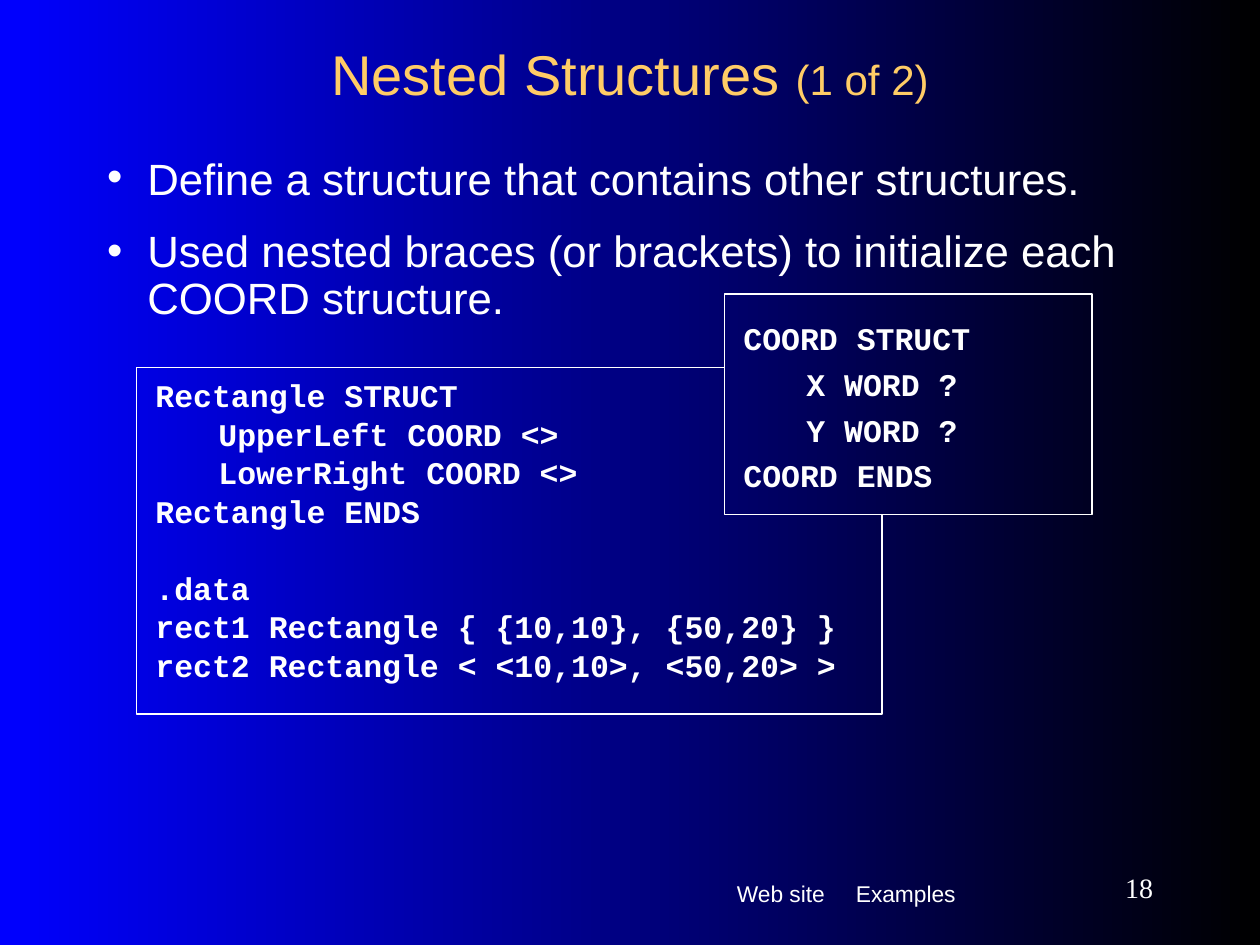
from lxml import etree
from pptx import Presentation
from pptx.dml.color import RGBColor
from pptx.enum.shapes import MSO_SHAPE
from pptx.enum.text import MSO_ANCHOR, MSO_AUTO_SIZE, PP_ALIGN
from pptx.oxml.ns import qn
from pptx.util import Pt

RECTANGLE = MSO_SHAPE.RECTANGLE
TOP, MIDDLE = MSO_ANCHOR.TOP, MSO_ANCHOR.MIDDLE
FIXED, GROW = MSO_AUTO_SIZE.NONE, MSO_AUTO_SIZE.SHAPE_TO_FIT_TEXT
LEFT, CENTER, RIGHT = PP_ALIGN.LEFT, PP_ALIGN.CENTER, PP_ALIGN.RIGHT

COLORS = {"text": "FFFFFF", "title": "FFCC66", "dark": "000000", "bright": "0000FF"}
SANS, SERIF, MONO = "Arial", "Times New Roman", "Courier New"

RECTANGLE_CODE = [
    "Rectangle STRUCT",
    "\tUpperLeft COORD <>",
    "\tLowerRight COORD <>",
    "Rectangle ENDS",
    ".data",
    "rect1 Rectangle { {10,10}, {50,20} }",
    "rect2 Rectangle < <10,10>, <50,20> >",
]
COORD_CODE = ["COORD STRUCT", "\tX WORD ?", "\tY WORD ?", "COORD ENDS"]
BULLETS = [
    "Define a structure that contains other structures.",
    "Used nested braces (or brackets) to initialize each COORD structure.",
]


class SlideBuilder:
    def __init__(self, deck):
        self.page = deck.slides.add_slide(deck.slide_layouts[1])

    def color(self, name):
        return RGBColor.from_string(COLORS[name])

    def background(self):
        fill = self.page.background.fill
        fill.gradient()
        fill.gradient_angle = 180
        for stop, name in zip(fill.gradient_stops, ("dark", "bright")):
            stop.color.rgb = self.color(name)

    def place(self, shape, area):
        shape.left, shape.top, shape.width, shape.height = map(Pt, area)

    def frame(self, shape, lines, inset, anchor=TOP, size_mode=FIXED):
        frame = shape.text_frame
        frame.text = "\n".join(lines)
        frame.word_wrap = True
        frame.auto_size = size_mode
        frame.vertical_anchor = anchor
        frame.margin_left = frame.margin_right = Pt(inset[0])
        frame.margin_top = frame.margin_bottom = Pt(inset[1])
        return frame.paragraphs

    def format(self, para, size, font=SANS, color="text", bold=False,
               align=LEFT, before=0, spacing=1.0):
        para.alignment = align
        para.space_before = Pt(before)
        para.line_spacing = spacing
        for span in para.runs:
            span.font.size = Pt(size)
            span.font.name = font
            span.font.bold = bold
            span.font.color.rgb = self.color(color)

    def tab_stop(self, para, position):
        tabs = etree.SubElement(para._p.get_or_add_pPr(), qn("a:tabLst"))
        etree.SubElement(tabs, qn("a:tab"), pos=str(Pt(position)), algn="l")

    def title(self, area, text, suffix):
        box = self.page.shapes.title
        self.place(box, area)
        para = self.frame(box, [text], (7.2, 3.6), MIDDLE)[0]
        para.add_run().text = suffix
        self.format(para, 32, color="title", align=CENTER)
        para.runs[1].font.size = Pt(24)

    def bullets(self, area, lines, spacings):
        box = self.page.placeholders[1]
        self.place(box, area)
        paras = self.frame(box, lines, (7.2, 10.8), size_mode=GROW)
        for para, spacing in zip(paras, spacings):
            self.format(para, 25, before=15.6, spacing=spacing)
            properties = para._p.get_or_add_pPr()
            properties.set("marL", str(Pt(23)))
            properties.set("indent", str(-Pt(23)))

    def code(self, area, lines, before, spacing=1.0, gaps=None, covers=False):
        box = self.page.shapes.add_shape(RECTANGLE, *map(Pt, area))
        box.shadow.inherit = False
        box.line.color.rgb = self.color("text")
        box.line.width = Pt(0.75)
        if covers:
            box.element.remove(box.element.find(qn("p:style")))
            box.element.set("useBgFill", "1")
        else:
            box.fill.background()
        for para in self.frame(box, lines, (10.8, 14.4)):
            extra = (gaps or {}).get(para.text, 0)
            self.format(para, 18, MONO, bold=True, before=before + extra, spacing=spacing)
            self.tab_stop(para, 36)

    def label(self, area, text, size, font=SANS, align=LEFT, inset=(7.2, 3.6),
              anchor=TOP, before=0, tab=None):
        box = self.page.shapes.add_textbox(*map(Pt, area))
        para = self.frame(box, [text], inset, anchor)[0]
        self.format(para, size, font, align=align, before=before)
        if tab:
            self.tab_stop(para, tab)


def main():
    deck = Presentation()
    deck.slide_width, deck.slide_height = Pt(720), Pt(540)
    slide = SlideBuilder(deck)
    slide.background()
    slide.title((54, 18, 612, 48), "Nested Structures ", "(1 of 2)")
    slide.bullets((54, 84, 606, 112), BULLETS, (0.7, 0.9))
    slide.code((78, 210, 426, 198), RECTANGLE_CODE, 11.2, 0.5, gaps={".data": 22})
    slide.code((414, 168, 210, 126), COORD_CODE, 4.5, covers=True)
    slide.label((414, 492, 162, 37), "Web site\tExamples", 13,
                inset=(7.2, 10.8), before=8.1, tab=68)
    slide.label((588, 492, 78, 30), "18", 16, SERIF, RIGHT, anchor=MIDDLE)
    deck.save("out.pptx")


if __name__ == "__main__":
    main()
